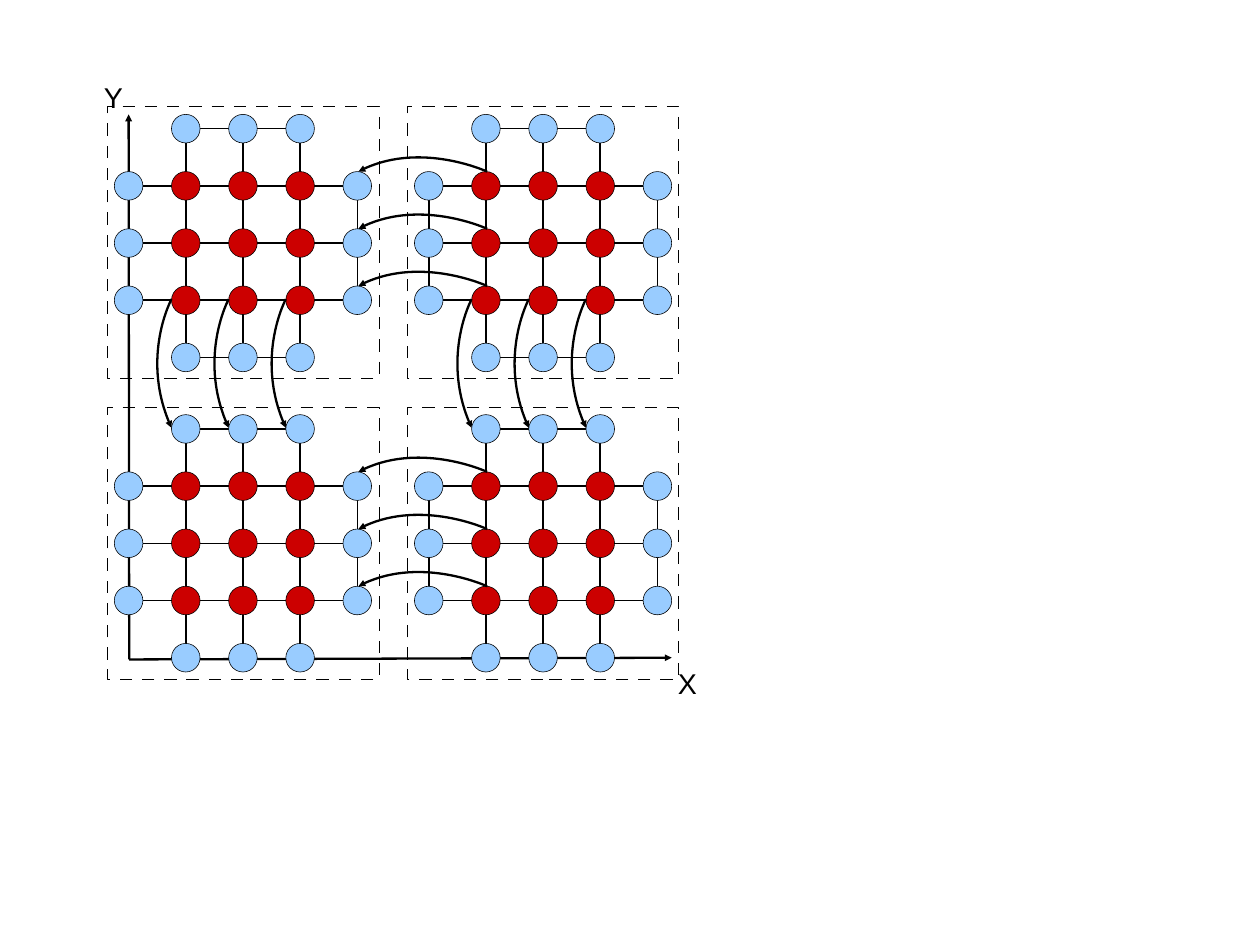
from itertools import product

from lxml import etree
from pptx import Presentation
from pptx.dml.color import RGBColor
from pptx.enum.shapes import MSO_CONNECTOR, MSO_SHAPE
from pptx.enum.text import MSO_AUTO_SIZE
from pptx.oxml.ns import qn
from pptx.util import Pt

STRAIGHT = MSO_CONNECTOR.STRAIGHT
OVAL = MSO_SHAPE.OVAL
RECT = MSO_SHAPE.RECTANGLE
FIT = MSO_AUTO_SIZE.SHAPE_TO_FIT_TEXT

PX = 9144
COLORS = {"ink": "000000", "halo": "99CCFF", "core": "CC0000"}
THIN, FINE, BOLD = 0, 0.75, 2.89
STEP = 100
NODE = 50
FRAME = 475
STARTS = (225, 750)
INNER = (1, 2, 3)
BEND = 56
RISE = 25


def color(name):
    return RGBColor.from_string(COLORS[name])


def emu(*sizes):
    return [size * PX for size in sizes]


def ink(shape, width):
    shape.line.color.rgb = color("ink")
    shape.line.width = Pt(width)
    return shape.element.spPr.find(qn("a:ln"))


def point(line):
    etree.SubElement(line, qn("a:headEnd"), type="triangle")


def add_line(shapes, start, end, width=THIN, arrow=False):
    link = shapes.add_connector(STRAIGHT, *emu(*start, *end))
    line = ink(link, width)
    if arrow:
        point(line)
    etree.SubElement(link.element.spPr, qn("a:effectLst"))


def add_node(shapes, x, y, kind):
    node = shapes.add_shape(OVAL, *emu(x - NODE // 2, y - NODE // 2, NODE, NODE))
    node.shadow.inherit = False
    node.fill.solid()
    node.fill.fore_color.rgb = color(kind)
    ink(node, THIN)


def add_frame(shapes, x, y):
    frame = shapes.add_shape(RECT, *emu(x, y, FRAME, FRAME))
    frame.shadow.inherit = False
    frame.fill.background()
    dash = etree.SubElement(ink(frame, FINE), qn("a:custDash"))
    etree.SubElement(dash, qn("a:ds"), d="2100000", sp="1700000")


def add_arc(shapes, start, peak, bend, end):
    pen = shapes.build_freeform(*start, scale=PX)
    pen.add_line_segments([peak, end], close=False)
    arc = pen.convert_to_shape()
    arc.shadow.inherit = False
    arc.fill.background()
    point(ink(arc, BOLD))
    route = next(arc.element.iter(qn("a:path")))
    for part in route.findall(qn("a:lnTo")):
        route.remove(part)
    curve = etree.SubElement(route, qn("a:cubicBezTo"))
    left, top = min(start[0], peak[0]), min(start[1], peak[1], end[1])
    for x, y in (bend, end, end):
        etree.SubElement(curve, qn("a:pt"), x=str(x - left), y=str(y - top))


def add_label(shapes, text, x, y):
    box = shapes.add_textbox(*emu(x, y, 53, 66))
    frame = box.text_frame
    frame.word_wrap = False
    frame.auto_size = FIT
    para = frame.paragraphs[0]
    para.text = text
    para.font.name = "Arial"
    para.font.size = Pt(36)
    para.font.color.rgb = color("ink")


def add_block(shapes, left, top):
    cols = [left + STEP * i for i in range(5)]
    rows = [top + STEP * i for i in range(5)]
    for i in range(5):
        first, last = (0, 4) if i in INNER else (1, 3)
        if i > 0 or left != STARTS[0]:
            add_line(shapes, (cols[i], rows[first]), (cols[i], rows[last]))
        if i < 4 or top != STARTS[1]:
            add_line(shapes, (cols[first], rows[i]), (cols[last], rows[i]))
    for i, j in product(range(5), repeat=2):
        if i in INNER or j in INNER:
            kind = "core" if i in INNER and j in INNER else "halo"
            add_node(shapes, cols[i], rows[j], kind)


def main():
    deck = Presentation()
    deck.slide_width, deck.slide_height = emu(2204, 1654)
    shapes = deck.slides.add_slide(deck.slide_layouts[6]).shapes

    add_line(shapes, (225, 200), (226, 1153), BOLD, True)
    add_line(shapes, (1175, 1150), (226, 1153), BOLD, True)
    for left, top in product(STARTS, repeat=2):
        add_block(shapes, left, top)
    add_label(shapes, "Y", 172, 134)
    add_label(shapes, "X", 1176, 1159)
    for x, y in product((188, 712), (186, 713)):
        add_frame(shapes, x, y)
    for base, i in product(STARTS, INNER):
        edge = base + STEP * i - NODE // 2
        add_arc(shapes, (627, edge), (731, edge - RISE), (731, edge - BEND), (852, edge))
        add_arc(shapes, (edge, 748), (edge - RISE, 627), (edge - BEND, 627), (edge, 523))

    deck.save("out.pptx")


if __name__ == "__main__":
    main()
